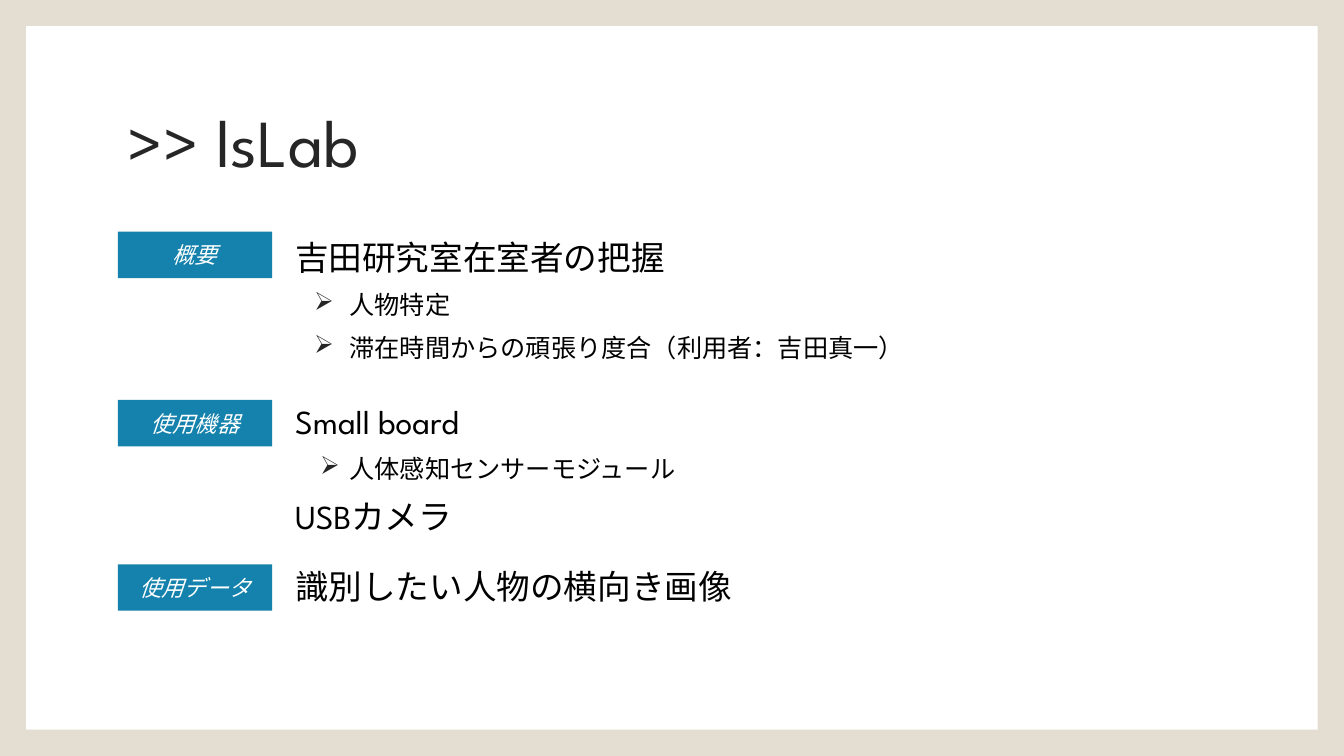
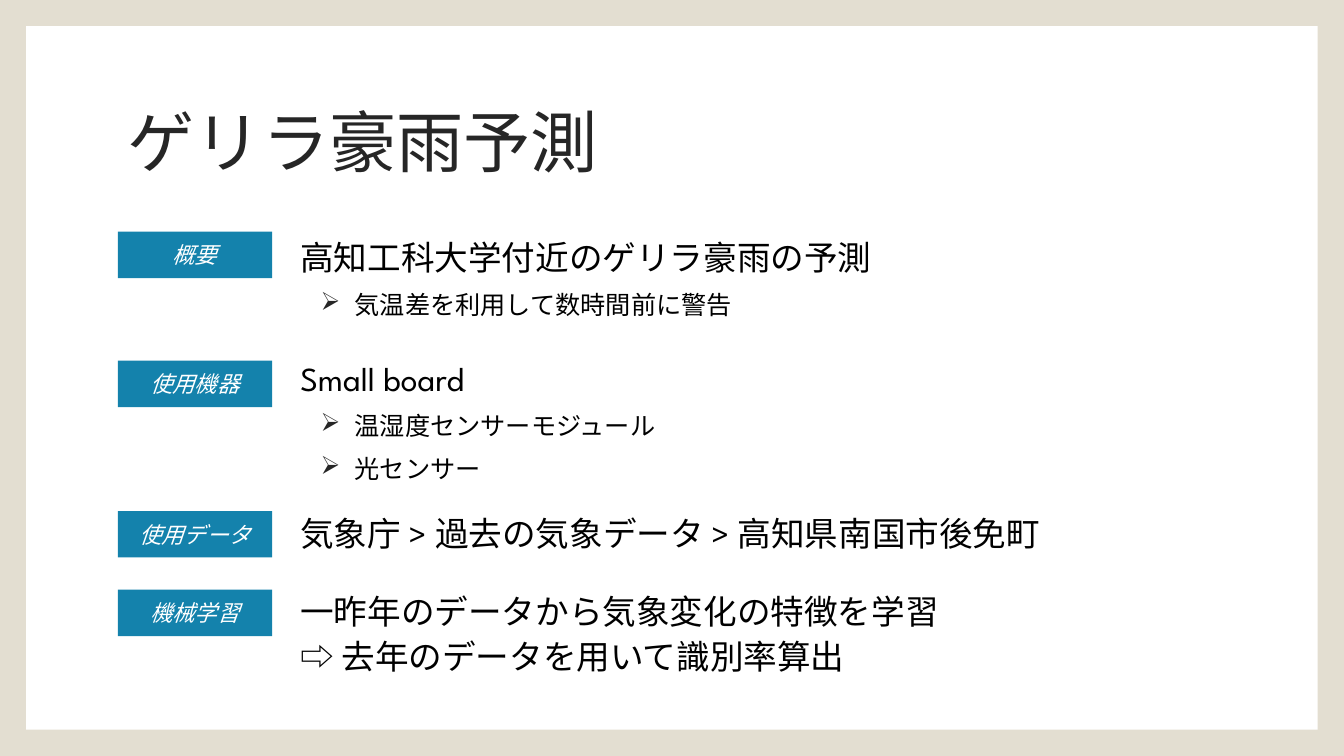
from dataclasses import dataclass

from lxml.etree import SubElement
from pptx import Presentation
from pptx.dml.color import RGBColor
from pptx.enum.shapes import MSO_SHAPE
from pptx.enum.text import MSO_ANCHOR, PP_ALIGN
from pptx.oxml.ns import qn
from pptx.util import Cm, Pt

SLIDES = [
    {
        "title": ">> lsLab",
        "left": 7.19,
        "tags": [("概要", 5.84), ("使用機器", 10.08), ("使用データ", 14.22)],
        "body": [
            ("吉田研究室在室者の把握", 0, None),
            ("人物特定", 9, 0.89),
            ("滞在時間からの頑張り度合（利用者：吉田真一）", 9, 0.89),
            ("Small board", 27, None),
            ("人体感知センサーモジュール", 9, 0.74),
            ("USBカメラ", 9, None),
            ("識別したい人物の横向き画像", 21, None),
        ],
    },
    {
        "title": "ゲリラ豪雨予測",
        "left": 7.32,
        "tags": [("概要", 5.84), ("使用機器", 9.09),
                 ("使用データ", 12.88), ("機械学習", 14.86)],
        "body": [
            ("高知工科大学付近のゲリラ豪雨の予測", 0, None),
            ("気温差を利用して数時間前に警告", 9, 0.86),
            ("Small board", 27, None),
            ("温湿度センサーモジュール", 9, 0.86),
            ("光センサー", 9, 0.86),
            ("気象庁 > 過去の気象データ > 高知県南国市後免町", 21, None),
            ("一昨年のデータから気象変化の特徴を学習", 27, None),
            ("⇨ 去年のデータを用いて識別率算出", 3, None),
        ],
    },
]


@dataclass(frozen=True)
class Theme:
    edge: str = "E3DED1"
    paper: str = "FFFFFF"
    accent: str = "1482AC"
    dark: str = "262626"
    ink: str = "000000"
    font: str = "League Spartan"
    sign: str = "Lato"
    head: int = 48
    main: int = 24
    sub: int = 18
    tag: int = 16


T = Theme()
WIDE, HIGH = 33.87, 19.05
RIM = 0.66
LEFT, RIGHT = 2.97, 30.91
TOP = 5.84
INDENT = 1.37


def write(frame, text, size=T.main, color=T.ink, italic=False,
          align=PP_ALIGN.LEFT, gap=0, hang=None, line=None):
    para = frame.paragraphs[0]
    if para.runs:
        para = frame.add_paragraph()
    para.alignment = align
    para.space_before = Pt(gap)
    if line:
        para.line_spacing = line
    if hang:
        props = para._p.get_or_add_pPr()
        props.set("marL", str(Cm(INDENT)))
        props.set("indent", str(-Cm(hang)))
        tint = SubElement(props, qn("a:buClr"))
        SubElement(tint, qn("a:srgbClr"), val=T.dark)
        SubElement(props, qn("a:buChar"), char="➢")
    mark, rest = (text[:2], text[2:]) if text.startswith("⇨ ") else ("", text)
    for part, face in ((mark, T.sign), (rest, T.font)):
        if part:
            run = para.add_run()
            run.text = part
            font = run.font
            font.name, font.size, font.italic = face, Pt(size), italic
            font.color.rgb = RGBColor.from_string(color)


def block(slide, left, top, width, height, fill):
    shape = slide.shapes.add_shape(
        MSO_SHAPE.RECTANGLE, Cm(left), Cm(top), Cm(width), Cm(height))
    shape.shadow.inherit = False
    shape.fill.solid()
    shape.fill.fore_color.rgb = RGBColor.from_string(fill)
    shape.line.fill.background()
    return shape


def area(slide, left, top, height, anchor=MSO_ANCHOR.TOP):
    box = slide.shapes.add_textbox(
        Cm(left), Cm(top), Cm(RIGHT - left), Cm(height))
    frame = box.text_frame
    frame.word_wrap = True
    frame.vertical_anchor = anchor
    return frame


def build(deck, data):
    slide = deck.slides.add_slide(deck.slide_layouts[6])
    block(slide, RIM, RIM, WIDE - 2 * RIM, HIGH - 2 * RIM, T.paper)
    write(area(slide, LEFT, 1.78, 3.81, MSO_ANCHOR.MIDDLE), data["title"],
          size=T.head, color=T.dark, line=0.9)
    body = area(slide, data["left"], TOP, 12)
    for text, gap, hang in data["body"]:
        write(body, text, size=T.sub if hang else T.main, gap=gap, hang=hang)
    for text, top in data["tags"]:
        frame = block(slide, LEFT, top, 3.89, 1.17, T.accent).text_frame
        frame.vertical_anchor = MSO_ANCHOR.MIDDLE
        write(frame, text, size=T.tag, color=T.paper, italic=True,
              align=PP_ALIGN.CENTER)


def main():
    deck = Presentation()
    deck.slide_width, deck.slide_height = Cm(WIDE), Cm(HIGH)
    back = deck.slide_master.background.fill
    back.solid()
    back.fore_color.rgb = RGBColor.from_string(T.edge)
    for data in SLIDES:
        build(deck, data)
    deck.save("out.pptx")


if __name__ == "__main__":
    main()
